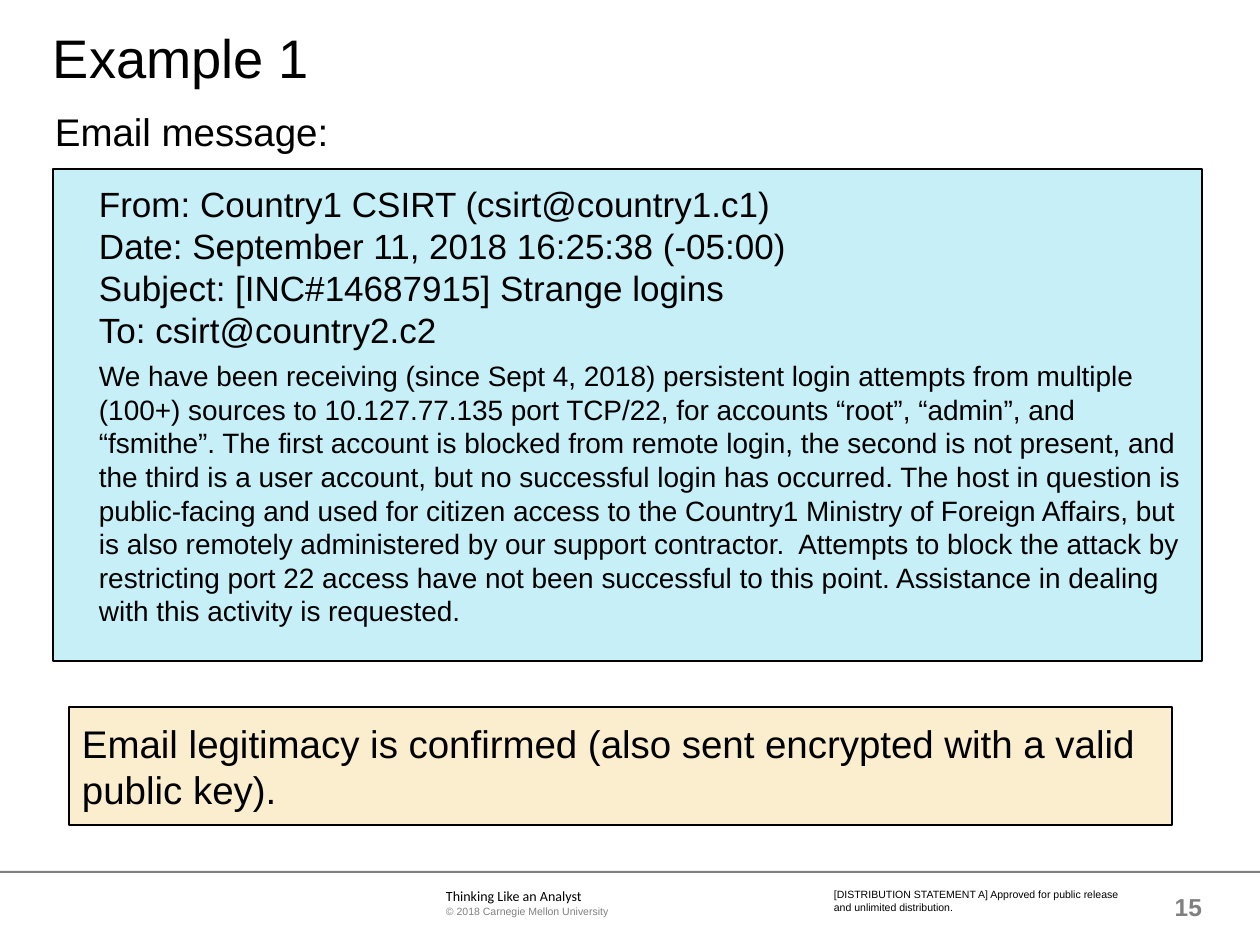
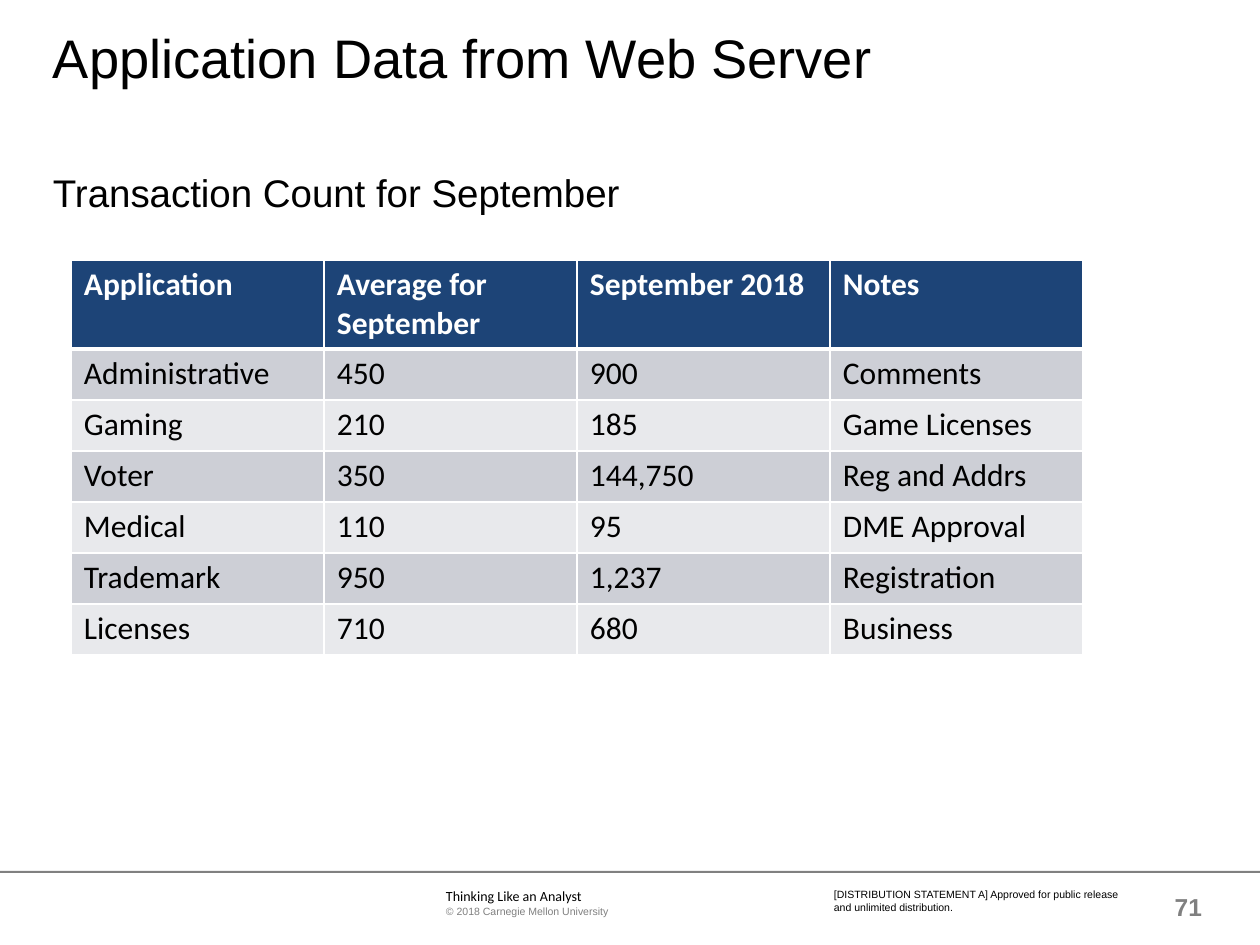
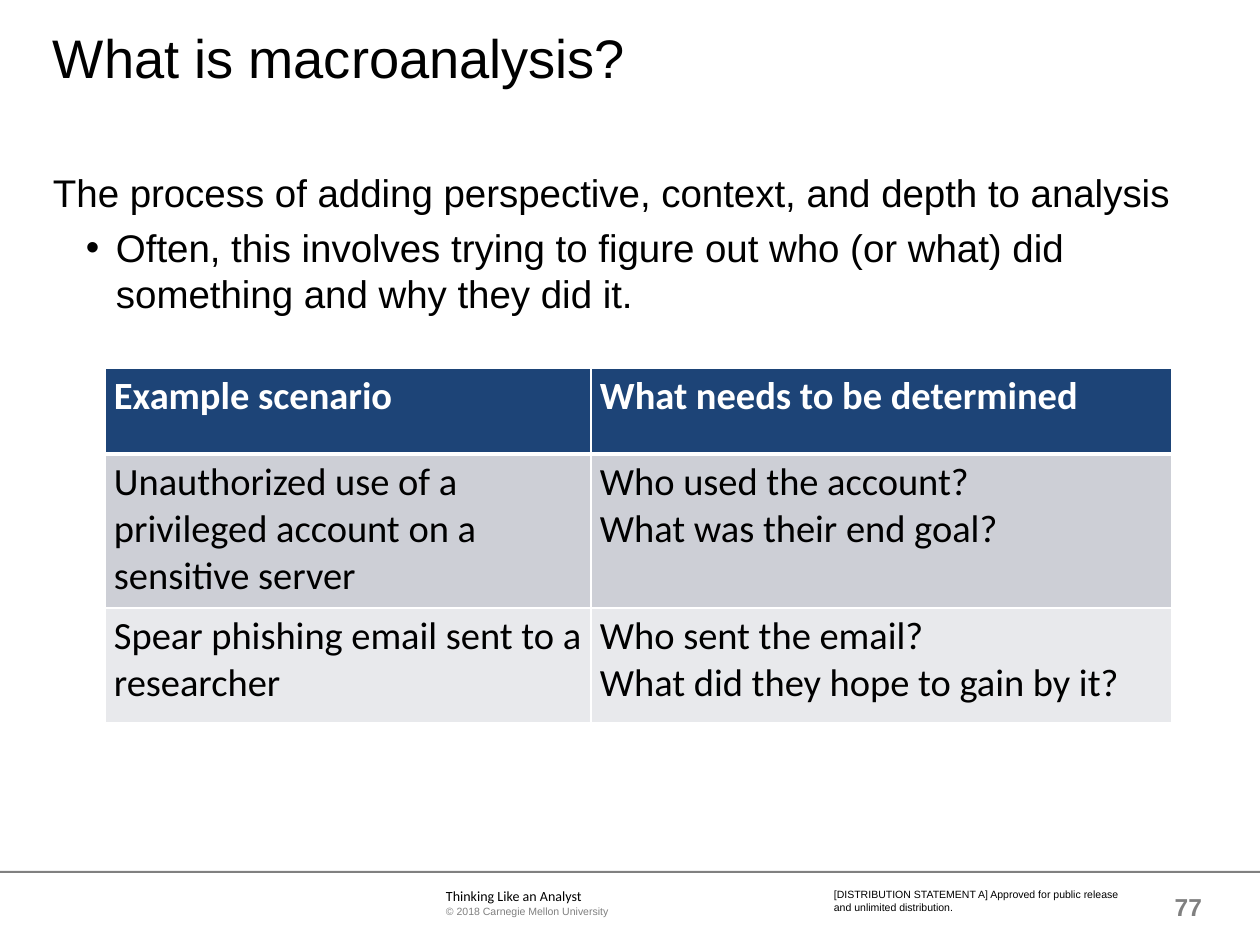
from lxml import etree
from pptx import Presentation
from pptx.dml.color import RGBColor
from pptx.enum.shapes import MSO_SHAPE
from pptx.enum.text import MSO_ANCHOR, MSO_AUTO_SIZE, PP_ALIGN
from pptx.oxml.ns import qn
from pptx.util import Emu, Pt

PIXEL = 914400 / 126
COLORS = {
    "black": "000000", "white": "FFFFFF", "gray": "808080",
    "email": "C6EFF7", "note": "FBEECF",
    "header": "1D4477", "odd row": "CDCFD6", "even row": "E8E9EC",
}
TITLE = {"size": 31}
BODY = {"size": 22}
EMAIL_HEADER = {"size": 20}
EMAIL_TEXT = {"size": 16}
FINE_PRINT = {"size": 6}
BULLET_INDENT = (63, -30)
EMAIL_INDENT = (46, 0)

EMAIL_FIELDS = """From: Country1 CSIRT (csirt@country1.c1)
Date: September 11, 2018 16:25:38 (-05:00)
Subject: [INC#14687915] Strange logins
To: csirt@country2.c2"""
EMAIL_MESSAGE = (
    "We have been receiving (since Sept 4, 2018) persistent login attempts from "
    "multiple (100+) sources to 10.127.77.135 port TCP/22, for accounts “root”, "
    "“admin”, and “fsmithe”. The first account is blocked from remote login, the "
    "second is not present, and the third is a user account, but no successful login "
    "has occurred. The host in question is public-facing and used for citizen access "
    "to the Country1 Ministry of Foreign Affairs, but is also remotely administered "
    "by our support contractor.  Attempts to block the attack by restricting port 22 "
    "access have not been successful to this point. Assistance in dealing with this "
    "activity is requested."
)
TRANSACTIONS = [
    ["Application", "Average for September", "September 2018", "Notes"],
    ["Administrative", "450", "900", "Comments"],
    ["Gaming", "210", "185", "Game Licenses"],
    ["Voter", "350", "144,750", "Reg and Addrs"],
    ["Medical", "110", "95", "DME Approval"],
    ["Trademark", "950", "1,237", "Registration"],
    ["Licenses", "710", "680", "Business"],
]
SCENARIOS = [
    ["Example scenario", "What needs to be determined"],
    ["Unauthorized use of a privileged account on a sensitive server",
     "Who used the account?\nWhat was their end goal?"],
    ["Spear phishing email sent to a researcher",
     "Who sent the email?\nWhat did they hope to gain by it?"],
]


def px(value):
    return Emu(round(value * PIXEL))


def rgb(name):
    return RGBColor.from_string(COLORS[name])


def set_attributes(target, values):
    for name, value in values.items():
        setattr(target, name, value)


def format_font(font, size, color="black", name="Arial", bold=False):
    set_attributes(font, {"size": Pt(size), "name": name, "bold": bold})
    font.color.rgb = rgb(color)


def place(shape, box):
    names = ("left", "top", "width", "height")
    set_attributes(shape, dict(zip(names, map(px, box))))


def set_margins(target, margins):
    """Set left, top, right and bottom margins of a text frame or a cell."""
    names = ("margin_left", "margin_top", "margin_right", "margin_bottom")
    set_attributes(target, dict(zip(names, map(px, margins))))


def paint(shape, fill, line=None):
    shape.fill.solid()
    shape.fill.fore_color.rgb = rgb(fill)
    if line:
        shape.line.color.rgb = rgb(line)
        shape.line.width = Pt(0.75)
    else:
        shape.line.fill.background()


def set_indent(paragraph, indent, bullet=None):
    properties = paragraph._p.get_or_add_pPr()
    for name, value in zip(("marL", "indent"), indent):
        properties.set(name, str(px(value)))
    if bullet:
        etree.SubElement(properties, qn("a:buChar"), char=bullet)
    else:
        etree.SubElement(properties, qn("a:buNone"))


def write(shape, lines, margins=(0, 0, 0, 0), anchor=MSO_ANCHOR.TOP,
          align=PP_ALIGN.LEFT, spacing=1.0):
    """Fill a shape with lines of (text, font format, paragraph format)."""
    frame = shape.text_frame
    set_attributes(frame, {"word_wrap": True, "auto_size": MSO_AUTO_SIZE.NONE,
                           "vertical_anchor": anchor})
    set_margins(frame, margins)
    for index, (text, font, layout) in enumerate(lines):
        paragraph = frame.add_paragraph() if index else frame.paragraphs[0]
        paragraph.text = text
        set_attributes(paragraph, {
            "level": layout.get("level", 0), "alignment": align,
            "line_spacing": spacing,
            "space_before": Pt(layout.get("before", 0)), "space_after": Pt(0)})
        set_indent(paragraph, layout.get("indent", (0, 0)), layout.get("bullet"))
        for run in paragraph.runs:
            format_font(run.font, **font)


def add_text(slide, box, lines, **options):
    text_box = slide.shapes.add_textbox(*map(px, box))
    write(text_box, lines, **options)


def add_box(slide, box, fill, line=None):
    shape = slide.shapes.add_shape(MSO_SHAPE.RECTANGLE, *map(px, box))
    shape.shadow.inherit = False
    paint(shape, fill, line)
    return shape


def add_footer(slide, number):
    add_box(slide, (0, 871, 1260, 2), "gray")
    add_text(slide, (446, 888, 368, 30), [
        ("Thinking Like an Analyst", {"size": 8, "name": "Calibri"}, {}),
        ("© 2018 Carnegie Mellon University", {**FINE_PRINT, "color": "gray"}, {}),
    ], margins=(0, 0, 6, 0))
    add_text(slide, (834, 888, 289, 25), [
        ("[DISTRIBUTION STATEMENT A] Approved for public release "
         "and unlimited distribution.", FINE_PRINT, {})])
    add_text(slide, (1147, 882, 55, 50),
             [(str(number), {"size": 14, "color": "gray", "bold": True}, {})],
             anchor=MSO_ANCHOR.MIDDLE, align=PP_ALIGN.RIGHT)


def add_slide(presentation, number, title, lines, body_height=670, **options):
    """Add a slide with footer, title and body, and return slide and body."""
    slide = presentation.slides.add_slide(presentation.slide_layouts[1])
    add_footer(slide, number)
    place(slide.shapes.title, (53, 32, 1071, 121))
    write(slide.shapes.title, [(title, TITLE, {})], spacing=0.9)
    body = slide.placeholders[1]
    place(body, (53, 169, 1149, body_height))
    write(body, lines, **options)
    return slide, body


def add_borders(cell, bottom_width):
    properties = cell._tc.get_or_add_tcPr()
    for side, width in zip("LRTB", (1, 1, 1, bottom_width)):
        line = etree.SubElement(properties, qn(f"a:ln{side}"), w=str(Pt(width)))
        fill = etree.SubElement(line, qn("a:solidFill"))
        etree.SubElement(fill, qn("a:srgbClr"), val=COLORS["white"])


def add_grid(slide, left, top, widths, heights, rows, size, margins):
    """Add a table with a dark header row and banded rows below it."""
    frame = slide.shapes.add_table(len(rows), len(widths), px(left), px(top),
                                   px(sum(widths)), px(sum(heights)))
    table = frame.table
    for column, width in zip(table.columns, widths):
        column.width = px(width)
    for row_index, (row, height) in enumerate(zip(table.rows, heights)):
        row.height = px(height)
        is_header = row_index == 0
        band = "odd row" if row_index % 2 else "even row"
        for cell, text in zip(row.cells, rows[row_index]):
            cell.text = text
            set_margins(cell, margins)
            add_borders(cell, 3 if is_header else 1)
            cell.fill.solid()
            cell.fill.fore_color.rgb = rgb("header" if is_header else band)
            for paragraph in cell.text_frame.paragraphs:
                format_font(paragraph.runs[0].font, size,
                            "white" if is_header else "black", "Calibri", is_header)


def add_email_slide(presentation):
    layout = {"level": 1, "indent": EMAIL_INDENT}
    slide, body = add_slide(presentation, 15, "Example 1", [
        (EMAIL_FIELDS, EMAIL_HEADER, layout),
        (EMAIL_MESSAGE, EMAIL_TEXT, {**layout, "before": 5}),
    ], body_height=492, margins=(0, 13, 13, 0))
    paint(body, "email", "black")
    add_text(slide, (55, 108, 604, 47), [("Email message:", BODY, {})])
    note = add_box(slide, (69, 707, 1103, 118), "note", "black")
    write(note, [("Email legitimacy is confirmed (also sent encrypted with a valid "
                  "public key).", BODY, {})], margins=(13, 13, 0, 13))


def add_transactions_slide(presentation):
    slide, _ = add_slide(presentation, 71, "Application Data from Web Server",
                         [("Transaction Count for September", BODY, {})])
    add_grid(slide, 71, 260, [253] * 4, [88] + [51] * 6, TRANSACTIONS, 18,
             (13, 6, 13, 6))


def add_macroanalysis_slide(presentation):
    slide, _ = add_slide(presentation, 77, "What is macroanalysis?", [
        ("The process of adding perspective, context, and depth to analysis", BODY, {}),
        ("Often, this involves trying to figure out who (or what) did something "
         "and why they did it.", BODY,
         {"level": 1, "indent": BULLET_INDENT, "bullet": "•", "before": 5}),
    ])
    add_grid(slide, 105, 368, [486, 581], [86, 154, 115], SCENARIOS, 22,
             (9, 5, 9, 5))


def main():
    presentation = Presentation()
    presentation.slide_width = px(1260)
    presentation.slide_height = px(945)
    add_email_slide(presentation)
    add_transactions_slide(presentation)
    add_macroanalysis_slide(presentation)
    presentation.save("out.pptx")


if __name__ == "__main__":
    main()
